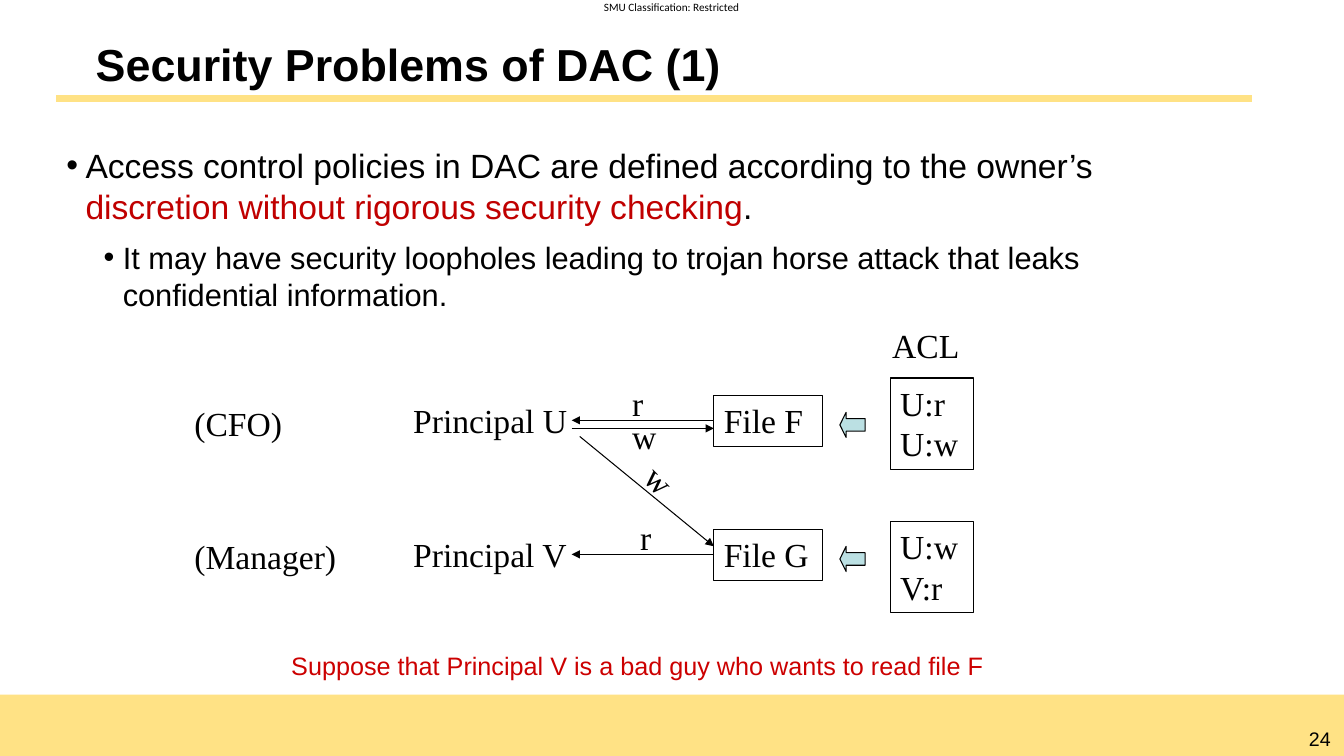
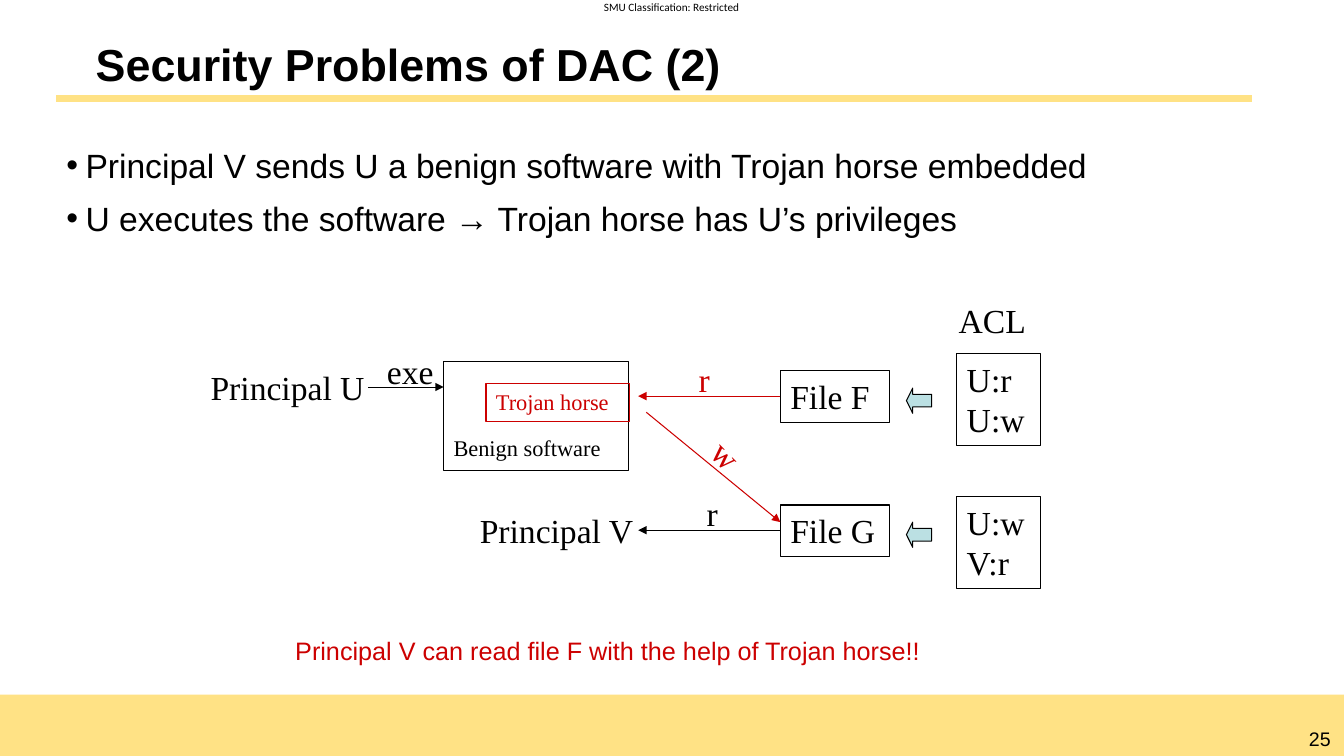
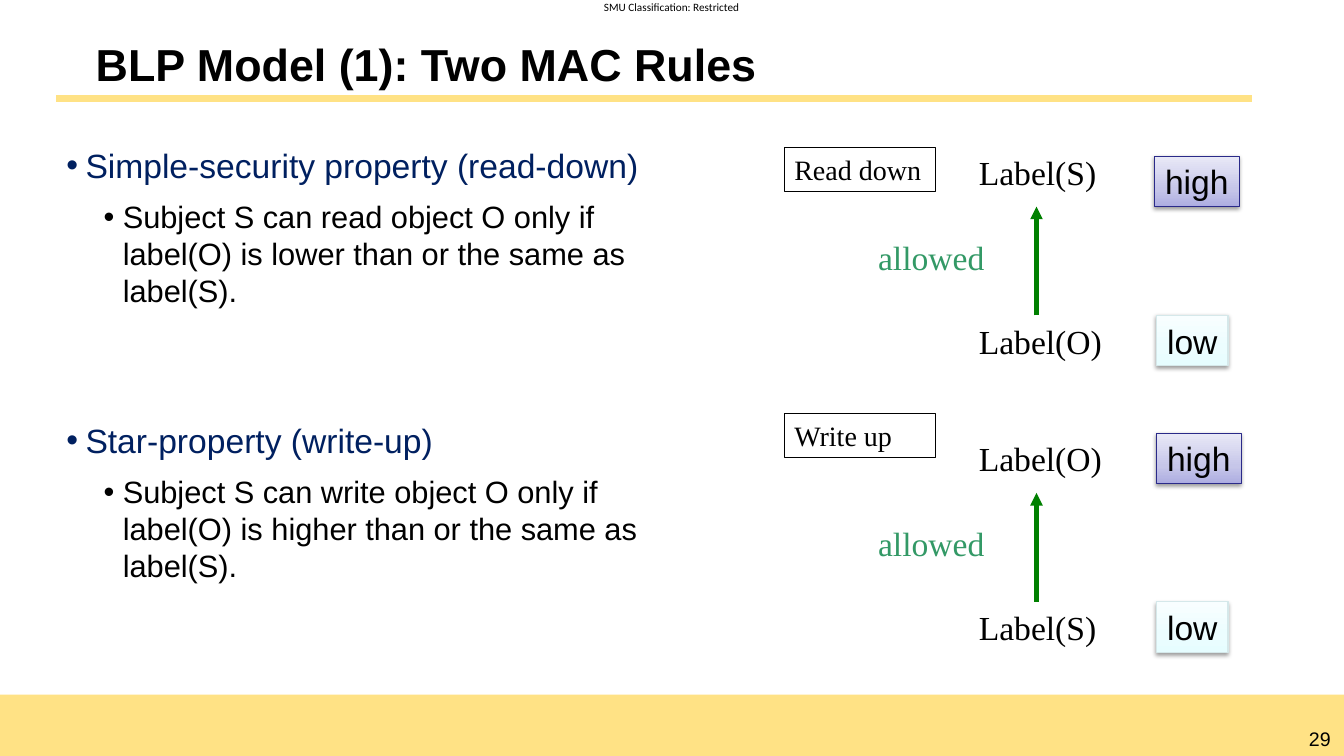
from pptx import Presentation
from pptx.dml.color import RGBColor
from pptx.enum.shapes import MSO_CONNECTOR, MSO_SHAPE
from pptx.enum.text import MSO_ANCHOR, PP_ALIGN
from pptx.oxml import parse_xml
from pptx.oxml.ns import nsdecls, qn
from pptx.util import Inches, Pt
from lxml import etree

RECT, LEFT_ARROW = MSO_SHAPE.RECTANGLE, MSO_SHAPE.LEFT_ARROW
STRAIGHT = MSO_CONNECTOR.STRAIGHT
LEFT, CENTER = PP_ALIGN.LEFT, PP_ALIGN.CENTER
TOP, MIDDLE = MSO_ANCHOR.TOP, MSO_ANCHOR.MIDDLE

# Shared style
SANS, SERIF, SMALL_FONT = "Arial", "Times New Roman", "Calibri"
BLACK, GOLD, RED, DARK_RED, NAVY = "000000", "FFE285", "CC0000", "C00000", "002060"
PALE_BLUE, GREEN, SEA_GREEN = "BBE0E3", "008000", "339966"
SLIDE_W, SLIDE_H = 13.33, 7.5
CLASSIFICATION = "SMU Classification: Restricted"
LEVELS = [(24, 0.19), (22, 0.56)]  # size, left margin
HANGING, BULLET_GAP = 0.19, 4.5

# Content: bullets are (level, runs, space before), runs are (text, colour)
LOOPHOLES = {
    "title": "Security Problems of DAC (1)", "number": 24,
    "bullets": [
        (0, [("Access control policies in DAC are defined according to the owner’s ", BLACK),
             ("discretion without rigorous security checking", DARK_RED), (".", BLACK)], 0),
        (1, [("It may have security loopholes leading to trojan horse attack "
              "that leaks confidential information.", BLACK)], BULLET_GAP),
    ],
    "remark": "Suppose that Principal V is a bad guy who wants to read file F",
}
ROLES = [("(CFO)", 3.95), ("(Manager)", 5.27)]

TROJAN = {
    "title": "Security Problems of DAC (2)", "number": 25,
    "bullets": [
        (0, [("Principal V sends U a benign software with Trojan horse embedded", BLACK)], 0),
        (0, [("U executes the software → Trojan horse has U’s privileges", BLACK)], BULLET_GAP),
    ],
    "remark": "Principal V can read file F with the help of Trojan horse!!",
}

BLP = {
    "title": "BLP Model (1): Two MAC Rules", "number": 29,
    "bullets": [
        (0, [("Simple-security property (read-down)", NAVY)], 0),
        (1, [("Subject S can read object O only if label(O) is lower than "
              "or the same as label(S).", BLACK)], BULLET_GAP),
        (0, [("Star-property (write-up)", NAVY)], 75),
        (1, [("Subject S can write object O only if label(O) is higher than "
              "or the same as label(S).", BLACK)], BULLET_GAP),
    ],
}
# Rule name and top, upper and lower label, panel top, "high" badge position
RULES = [
    ("Read down", 1.46, "Label(S)", "Label(O)", 1.46, (11.45, 1.55)),
    ("Write up", 4.10, "Label(O)", "Label(S)", 4.30, (11.47, 4.30)),
]
# Badge width, line colour, gradient from bottom to top
BADGES = {
    "high": (0.84, "2A2A89", ("ADADE1", "C6C6E9", "E9E9F7")),
    "low": (0.71, "D5E8EA", ("E6FDFF", "ECFDFF", "F8FEFF")),
}
GRADIENT_STOPS = (0, 35, 100)

# File, its access list, top of the file box
FILES = [("File F", "U:r U:w", 3.92), ("File G", "U:w V:r", 5.25)]


def color(value):
    return RGBColor.from_string(value)


def set_font(font, size, name=SANS, ink=BLACK, bold=False):
    font.size, font.name, font.bold = Pt(size), name, bold
    font.color.rgb = color(ink)


def fill_text(shape, text, size, name, ink, align=LEFT, wrap=True, bold=False,
              anchor=TOP, inset=(0.1, 0.05)):
    frame = shape.text_frame
    frame.word_wrap, frame.vertical_anchor = wrap, anchor
    frame.margin_left = frame.margin_right = Inches(inset[0])
    frame.margin_top = frame.margin_bottom = Inches(inset[1])
    paragraph = frame.paragraphs[0]
    paragraph.text, paragraph.alignment = text, align
    set_font(paragraph.font, size, name, ink, bold)
    return paragraph


def add_label(slide, text, x, y, w, h=0.5, size=24, name=SERIF, ink=BLACK,
              rotation=0, **style):
    label = slide.shapes.add_textbox(Inches(x), Inches(y), Inches(w), Inches(h))
    label.rotation = rotation
    return fill_text(label, text, size, name, ink, **style)


def add_box(slide, x, y, w, h, text="", size=24, name=SERIF, ink=BLACK,
            kind=RECT, fill=None, line=BLACK, **style):
    box = slide.shapes.add_shape(kind, Inches(x), Inches(y), Inches(w), Inches(h))
    box.shadow.inherit = False
    if fill:
        box.fill.solid()
        box.fill.fore_color.rgb = color(fill)
    else:
        box.fill.background()
    if line:
        box.line.color.rgb = color(line)
        box.line.width = Pt(0.75)
    else:
        box.line.fill.background()
    if text:
        fill_text(box, text, size, name, ink, **style)
    return box


def add_line(slide, start, end, ink=BLACK, width=0.75, arrow=True):
    line = slide.shapes.add_connector(STRAIGHT, *map(Inches, start + end))
    line.line.color.rgb = color(ink)
    line.line.width = Pt(width)
    if arrow:
        etree.SubElement(line.line._get_or_add_ln(), qn("a:tailEnd"), type="triangle")
    etree.SubElement(line._element.spPr, qn("a:effectLst"))


def add_bullets(slide, bullets, width, height):
    body = slide.shapes.add_textbox(Inches(0.56), Inches(1.39), Inches(width), Inches(height))
    frame = body.text_frame
    frame.word_wrap = True
    for i, (level, runs, before) in enumerate(bullets):
        paragraph = frame.add_paragraph() if i else frame.paragraphs[0]
        size, margin = LEVELS[level]
        paragraph.level = level
        if before:
            paragraph.space_before = Pt(before)
        paragraph.space_after = Pt(BULLET_GAP)
        props = paragraph._p.get_or_add_pPr()
        props.set("marL", str(Inches(margin)))
        props.set("indent", str(-Inches(HANGING)))
        etree.SubElement(props, qn("a:buFont"), typeface=SANS)
        etree.SubElement(props, qn("a:buChar"), char="•")
        paragraph.font.size, paragraph.font.name = Pt(size), SANS
        for text, ink in runs:
            run = paragraph.add_run()
            run.text = text
            run.font.color.rgb = color(ink)


def start_slide(deck, content, body_width, body_height):
    """Band, number, classification, rule, title and bullets."""
    slide = deck.slides.add_slide(deck.slide_layouts[6])
    add_box(slide, 0, 6.89, SLIDE_W, SLIDE_H - 6.89, fill=GOLD, line=None)
    add_label(slide, str(content["number"]), 12.85, 7.16, 0.48, 0.34, 14, SANS, align=CENTER)
    add_label(slide, CLASSIFICATION, 5.99, 0, 1.37, 0.13, 8, SMALL_FONT, inset=(0, 0))
    add_line(slide, (0.56, 0.98), (12.42, 0.98), GOLD, 4.75, arrow=False)
    title = add_label(slide, content["title"], 0.56, 0.34, 11.86, 0.64, 32, SANS,
                      bold=True, anchor=MIDDLE, inset=(0.39, 0.05))
    title.line_spacing = 0.9
    add_bullets(slide, content["bullets"], body_width, body_height)
    return slide


def add_access_diagram(slide, dx=0, dy=0, attack=BLACK):
    """Files with their access lists, and the flows towards U and V."""
    for name, access, top in FILES:
        y = top + dy
        add_box(slide, 7.08 + dx, y, 1.08, 0.51, name)
        add_box(slide, 8.83 + dx, y - (0.17 if name == "File F" else 0.08), 0.83, 0.91, access)
        add_box(slide, 8.33 + dx, y + 0.17, 0.25, 0.25, kind=LEFT_ARROW,
                fill=PALE_BLUE).adjustments[1] = 0.25
    add_label(slide, "ACL", 8.75 + dx, 3.17 + dy, 0.92)
    add_label(slide, "Principal V", 4 + dx, 5.25 + dy, 1.75)
    flows = [((7.08, 4.17), (5.67, 4.17), attack), ((5.75, 4.33), (7.08, 5.42), attack),
             ((7.08, 5.5), (5.67, 5.5), BLACK)]
    for (x1, y1), (x2, y2), ink in flows:
        add_line(slide, (x1 + dx, y1 + dy), (x2 + dx, y2 + dy), ink)
    rights = [("r", 6.17, 3.75, 0, attack), ("w", 6.33, 4.5, 45.8, attack),
              ("r", 6.25, 5.08, 0, BLACK)]
    for right, x, y, rotation, ink in rights:
        add_label(slide, right, x + dx, y + dy, 0.42, ink=ink, rotation=rotation)


def add_badge(slide, text, x, y):
    width, line, shades = BADGES[text]
    badge = add_box(slide, x, y, width, 0.5, text, name=SANS, line=line,
                    align=CENTER, wrap=False)
    stops = "".join(f'<a:gs pos="{pos * 1000}"><a:srgbClr val="{shade}"/></a:gs>'
                    for pos, shade in zip(GRADIENT_STOPS, shades))
    props = badge._element.spPr
    props.replace(props.find(qn("a:noFill")), parse_xml(
        f'<a:gradFill {nsdecls("a")} rotWithShape="1"><a:gsLst>{stops}</a:gsLst>'
        '<a:lin ang="16200000" scaled="0"/></a:gradFill>'))
    props.replace(props.find(qn("a:effectLst")), parse_xml(
        f'<a:effectLst {nsdecls("a")}><a:outerShdw blurRad="{Pt(3.1)}" dist="{Pt(1.6)}" '
        'dir="5400000" rotWithShape="0"><a:srgbClr val="000000"><a:alpha val="38000"/>'
        '</a:srgbClr></a:outerShdw></a:effectLst>'))


def build_loopholes(deck):
    slide = start_slide(deck, LOOPHOLES, 11.86, 1.98)
    add_label(slide, LOOPHOLES["remark"], 2.79, 6.4, 8.59, 0.4, 18, SANS, RED)
    add_access_diagram(slide)
    add_label(slide, "Principal U", 4, 3.92, 1.75)
    add_line(slide, (5.67, 4.25), (7.08, 4.25))
    add_label(slide, "w", 6.17, 4.08, 0.42)
    for role, y in ROLES:
        add_label(slide, role, 1.83, y, 1.71)


def build_trojan(deck):
    slide = start_slide(deck, TROJAN, 11.86, 1.46)
    add_label(slide, TROJAN["remark"], 2.83, 6.25, 8.33, 0.4, 18, SANS, RED)
    add_access_diagram(slide, 0.66, -0.24, RED)
    # Principal U runs the software that hides the Trojan horse
    add_label(slide, "Principal U", 1.99, 3.59, 1.75)
    add_line(slide, (3.65, 3.84), (4.4, 3.84))
    add_label(slide, "exe", 3.74, 3.43, 0.67)
    add_box(slide, 4.4, 3.59, 1.83, 1.08)
    add_label(slide, "Benign software", 4.4, 4.26, 1.83, 0.37, 16)
    add_box(slide, 4.82, 3.8, 1.42, 0.38, "Trojan horse", 16, ink=RED, line=RED)


def build_blp(deck):
    slide = start_slide(deck, BLP, 6.27, 5.17)
    for rule, rule_top, upper, lower, top, high_at in RULES:
        bottom = top + 1.67
        add_box(slide, 7.78, rule_top, 1.5, 0.44, rule, 20)
        add_label(slide, upper, 9.61, top, 1.5)
        add_label(slide, lower, 9.61, bottom, 1.5)
        add_line(slide, (10.28, bottom), (10.28, top + 0.59), GREEN, 3)
        add_label(slide, "allowed", 8.61, top + 0.84, 1.58, ink=SEA_GREEN)
        add_badge(slide, "high", *high_at)
        add_badge(slide, "low", 11.47, bottom)


def main():
    deck = Presentation()
    deck.slide_width, deck.slide_height = Inches(SLIDE_W), Inches(SLIDE_H)
    for build in (build_loopholes, build_trojan, build_blp):
        build(deck)
    deck.save("out.pptx")


if __name__ == "__main__":
    main()
